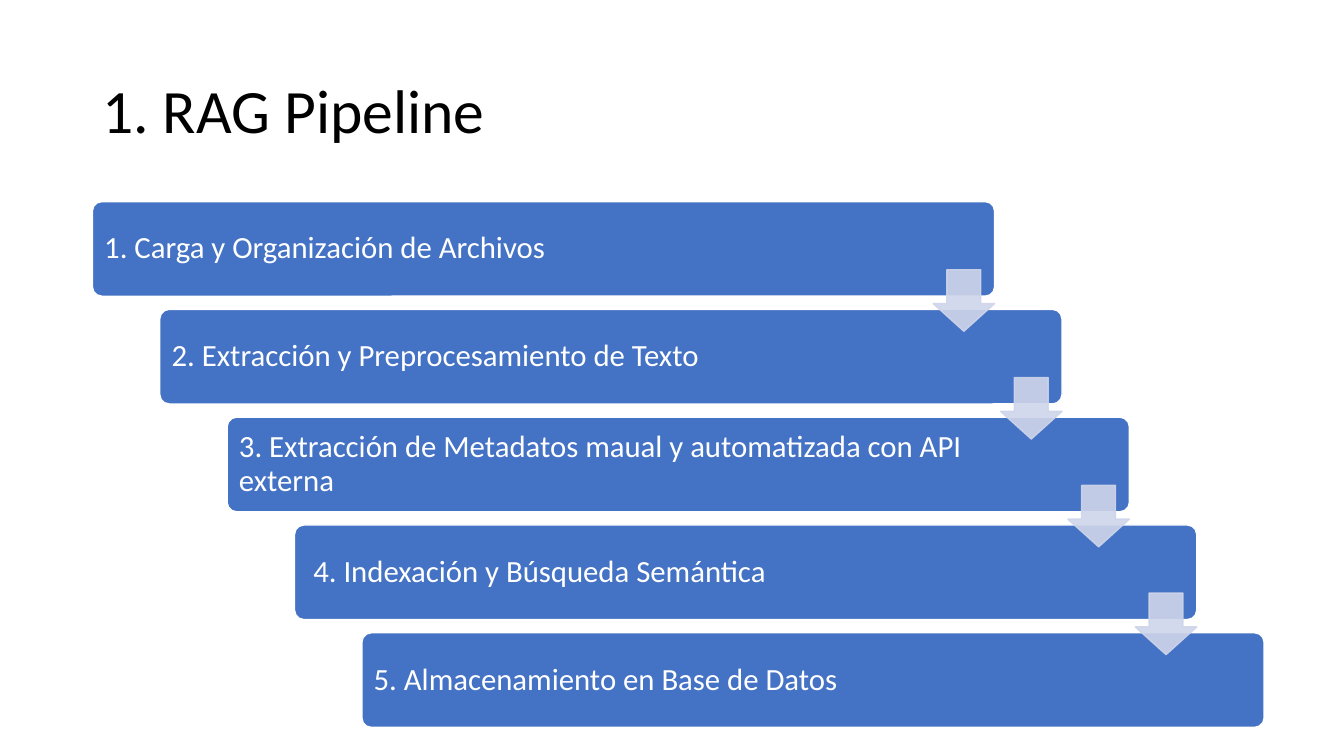
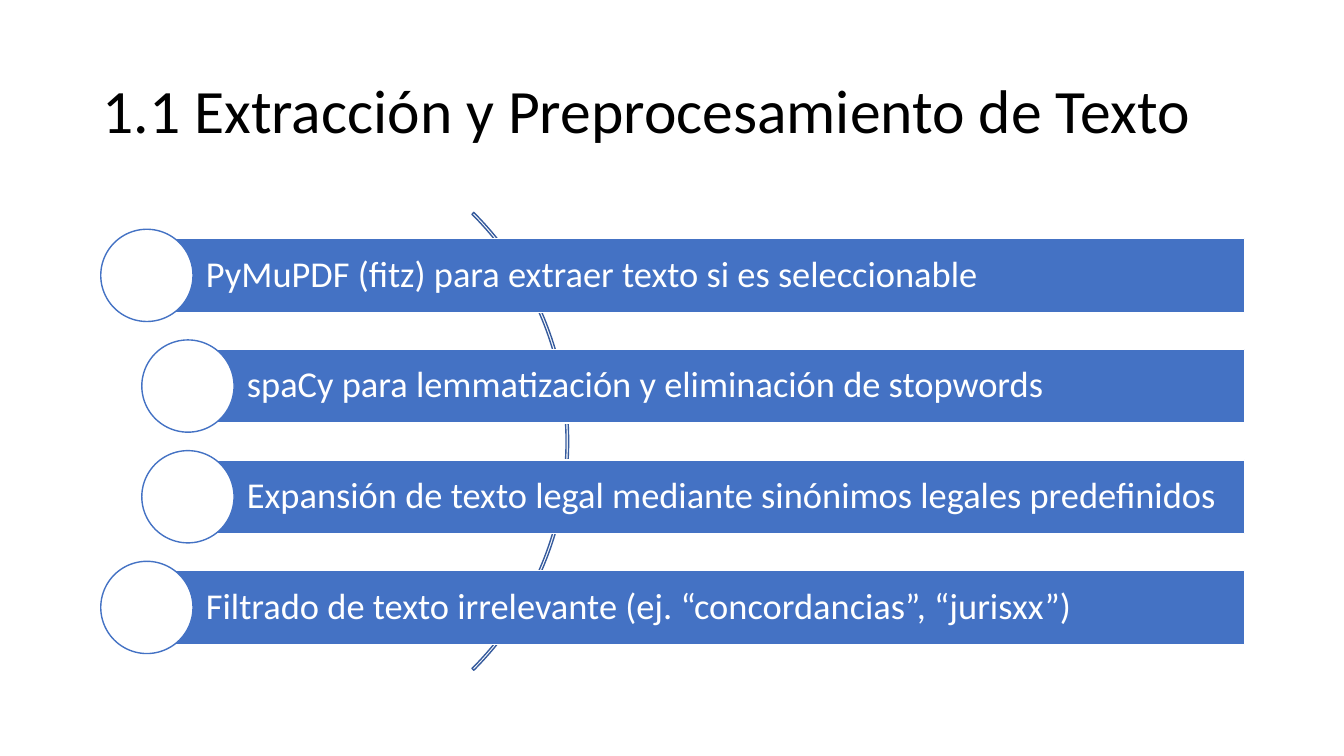
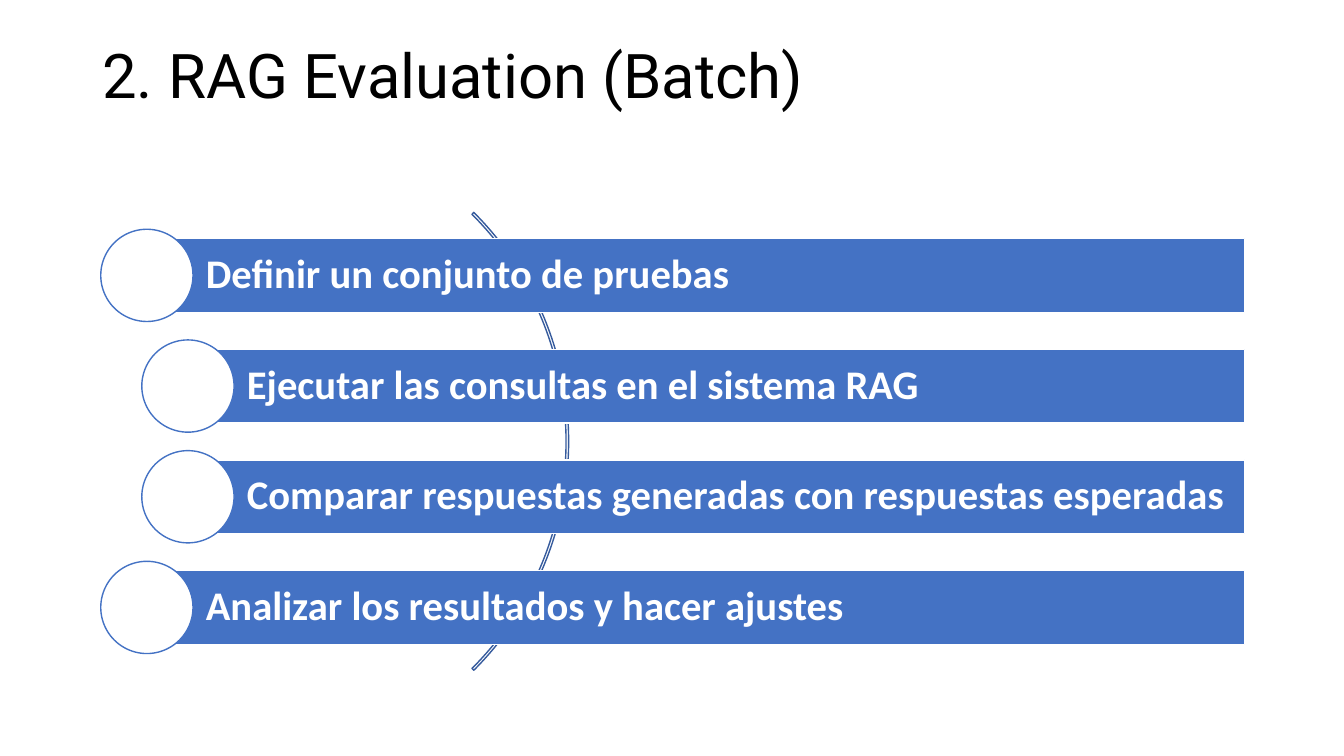
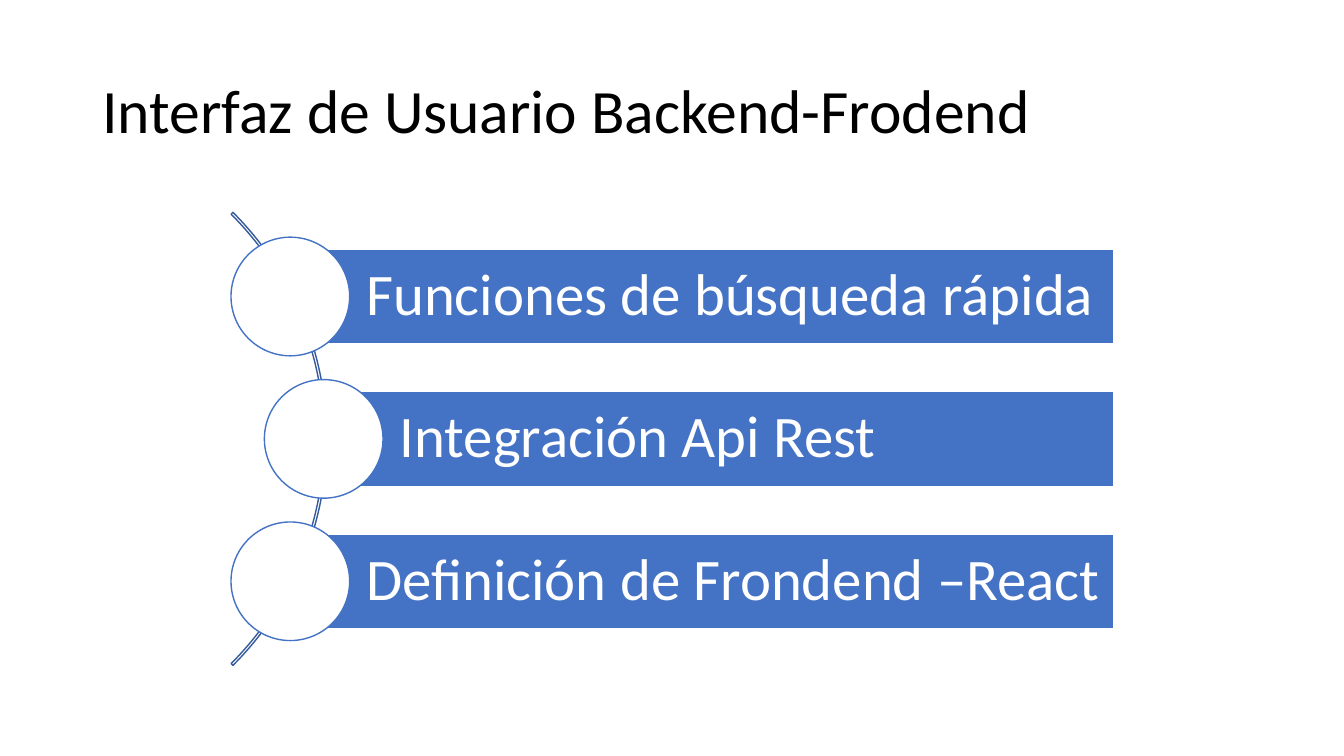
from dataclasses import dataclass
from math import sqrt

from lxml import etree
from pptx import Presentation
from pptx import util as u
from pptx.dml.color import RGBColor
from pptx.enum import shapes, text
from pptx.oxml import ns

COLUMNS, ROWS = 160, 90
CELL = u.Inches(13.33) / COLUMNS

BLACK = RGBColor(0x00, 0x00, 0x00)
WHITE = RGBColor(0xFF, 0xFF, 0xFF)
BLUE = RGBColor(0x44, 0x72, 0xC4)
ARC_BLUE = RGBColor(0x36, 0x5B, 0x9D)
PALE_BLUE = RGBColor(0xCF, 0xD5, 0xEA)

BODY_FONT = "Calibri"
PRESET = shapes.MSO_SHAPE


@dataclass
class Box:
    """A rectangle in grid columns and rows."""
    left: float
    top: float
    width: float
    height: float

    def lengths(self):
        return [u.Emu(round(value * CELL)) for value in
                (self.left, self.top, self.width, self.height)]


TITLE_BOX = Box(11, 4.8, 138, 17.4)


def write_text(shape, content, font, insets=None, anchor=text.MSO_ANCHOR.MIDDLE):
    """Write one left-aligned paragraph; insets are (left, right) in columns."""
    frame = shape.text_frame
    frame_format = {"word_wrap": True, "vertical_anchor": anchor}
    if insets:
        left, right = (u.Emu(round(inset * CELL)) for inset in insets)
        frame_format.update(margin_left=left, margin_right=right,
                            margin_top=0, margin_bottom=0)
    for name, value in frame_format.items():
        setattr(frame, name, value)
    paragraph = frame.paragraphs[0]
    paragraph.alignment = text.PP_ALIGN.LEFT
    paragraph.line_spacing = 0.9
    run = paragraph.add_run()
    run.text = content
    font_format = {"name": BODY_FONT, "bold": False, **font}
    color = font_format.pop("color")
    for name, value in font_format.items():
        setattr(run.font, name, value)
    run.font.color.rgb = color


def add_shape(slide, preset, box, fill, line, adjustments=()):
    shape = slide.shapes.add_shape(preset, *box.lengths())
    shape.shadow.inherit = False
    if fill is None:
        shape.fill.background()
    else:
        shape.fill.solid()
        shape.fill.fore_color.rgb = fill
    shape.line.color.rgb = line
    shape.line.width = u.Pt(1)
    for index, value in enumerate(adjustments):
        shape.adjustments[index] = value
    return shape


def set_opacity(shape, percent):
    """Apply one opacity to both the fill and the line."""
    for color in shape.element.spPr.iter(ns.qn("a:srgbClr")):
        etree.SubElement(color, ns.qn("a:alpha"), val=str(percent * 1000))


def add_titled_slide(presentation, title, font=BODY_FONT,
                     anchor=text.MSO_ANCHOR.MIDDLE):
    slide = presentation.slides.add_slide(presentation.slide_layouts[6])
    title_shape = slide.shapes.add_textbox(*TITLE_BOX.lengths())
    write_text(title_shape, title,
               {"name": font, "size": u.Pt(44), "color": BLACK}, anchor=anchor)
    return slide


def add_staircase(slide, region, steps):
    """Place steps down and to the right, with an arrow between neighbours."""
    width, height = region.width * 0.77, region.height * 0.18
    shift_x = (region.width - width) / (len(steps) - 1)
    shift_y = (region.height - height) / (len(steps) - 1)
    boxes = [Box(region.left + i * shift_x, region.top + i * shift_y, width, height)
             for i in range(len(steps))]
    for box, step in zip(boxes, steps):
        shape = add_shape(slide, PRESET.ROUNDED_RECTANGLE, box, BLUE, WHITE, [0.1])
        write_text(shape, step, {"size": u.Pt(22), "color": WHITE}, (1.08, 16.5))
    side = height * 0.65
    for box in boxes[:-1]:
        arrow_box = Box(box.left + width - side, box.top + height * 0.72, side, side)
        arrow = add_shape(slide, PRESET.DOWN_ARROW, arrow_box,
                          PALE_BLUE, PALE_BLUE, [0.55, 0.45])
        set_opacity(arrow, 90)


def add_curved_list(slide, region, arc_right, items, font):
    """Place bars with circles whose left ends follow the bend of an arc."""
    pitch = region.height / (len(items) + 1 / 3)
    bar_height = pitch / 1.5
    diameter = bar_height * 1.25
    middle = region.top + region.height / 2
    radius = region.height * 1.35 / 2
    arc_box = Box(arc_right - 2 * radius, middle - radius, 2 * radius, 2 * radius)
    add_shape(slide, PRESET.BLOCK_ARC, arc_box, None, ARC_BLUE, [189, 27, 0.004])

    distances = [(i - (len(items) - 1) / 2) * pitch for i in range(len(items))]
    bends = [sqrt(radius ** 2 - distance ** 2) for distance in distances]
    right = region.left + region.width
    for item, distance, bend in zip(items, distances, bends):
        circle_left = region.left + bend - min(bends)
        bar_left = circle_left + diameter / 2
        center = middle + distance
        bar = add_shape(slide, PRESET.RECTANGLE,
                        Box(bar_left, center - bar_height / 2,
                            right - bar_left, bar_height), BLUE, WHITE)
        write_text(bar, item, {"color": WHITE, **font},
                   (bar_height * 0.8, bar_height * 0.1))
        add_shape(slide, PRESET.OVAL,
                  Box(circle_left, center - diameter / 2, diameter, diameter),
                  WHITE, BLUE)


def main():
    presentation = Presentation()
    presentation.slide_width = u.Emu(round(COLUMNS * CELL))
    presentation.slide_height = u.Emu(round(ROWS * CELL))

    slide = add_titled_slide(presentation, "1. RAG Pipeline")
    add_staircase(slide, Box(11, 24, 139.5, 62.6), [
        "1. Carga y Organización de Archivos",
        "2. Extracción y Preprocesamiento de Texto",
        "3. Extracción de Metadatos maual y automatizada con API externa",
        " 4. Indexación y Búsqueda Semántica",
        "5. Almacenamiento en Base de Datos",
    ])

    wide_list = Box(12, 24, 136.2, 57.1)
    slide = add_titled_slide(presentation, "1.1 Extracción y Preprocesamiento de Texto")
    add_curved_list(slide, wide_list, 67.7, [
        "PyMuPDF (fitz) para extraer texto si es seleccionable",
        "spaCy para lemmatización y eliminación de stopwords",
        "Expansión de texto legal mediante sinónimos legales predefinidos",
        "Filtrado de texto irrelevante (ej. “concordancias”, “jurisxx”)",
    ], {"size": u.Pt(26)})

    slide = add_titled_slide(presentation, "2. RAG Evaluation (Batch)",
                             "Roboto", text.MSO_ANCHOR.TOP)
    add_curved_list(slide, wide_list, 67.7, [
        "Definir un conjunto de pruebas",
        "Ejecutar las consultas en el sistema RAG",
        "Comparar respuestas generadas con respuestas esperadas",
        "Analizar los resultados y hacer ajustes",
    ], {"size": u.Pt(29), "bold": True})

    slide = add_titled_slide(presentation, "Interfaz de Usuario Backend-Frodend")
    add_curved_list(slide, Box(27.5, 24, 105.1, 56.5), 38.9, [
        "Funciones de búsqueda rápida",
        "Integración Api Rest",
        "Definición de Frondend –React",
    ], {"size": u.Pt(42)})

    presentation.save("out.pptx")


if __name__ == "__main__":
    main()
